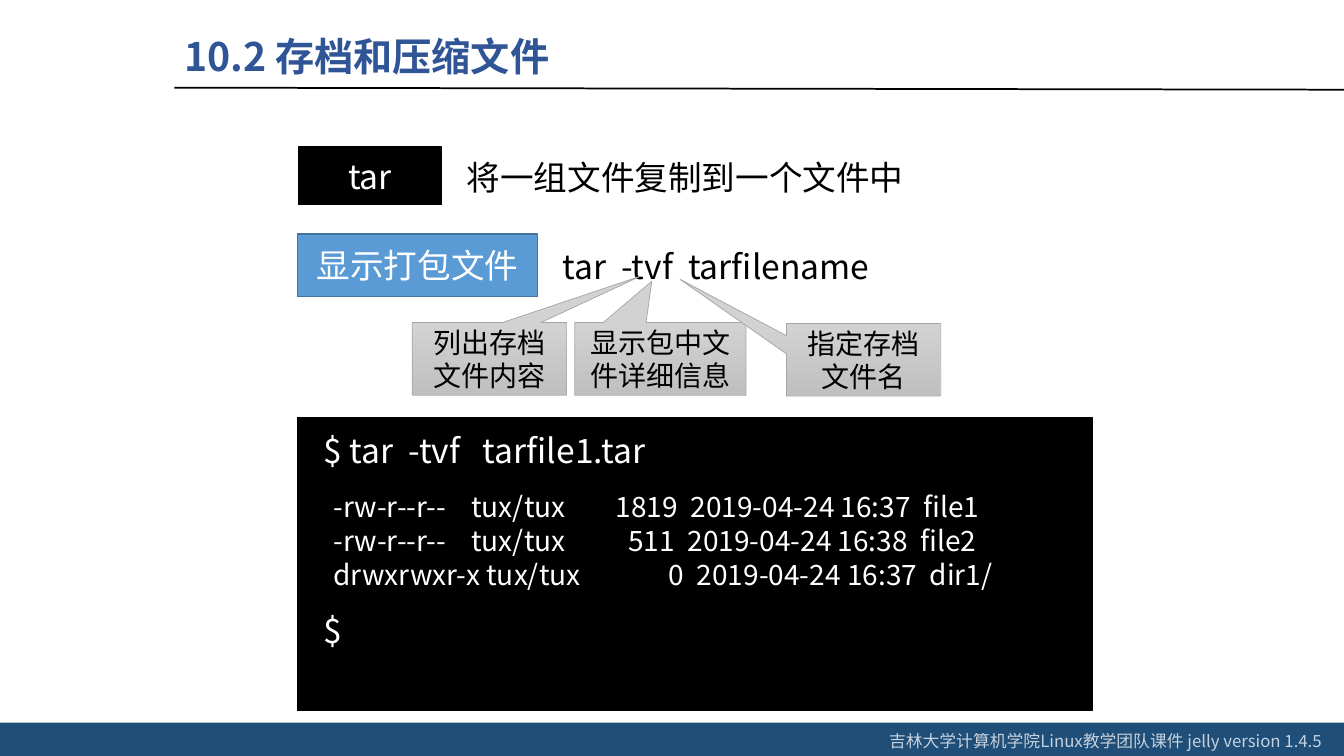
from lxml import etree
from pptx import Presentation
from pptx.dml.color import RGBColor
from pptx.enum.shapes import MSO_CONNECTOR, MSO_SHAPE
from pptx.enum.text import MSO_ANCHOR, MSO_AUTO_SIZE, PP_ALIGN
from pptx.oxml.ns import qn
from pptx.util import Inches, Pt

RECTANGLE = MSO_SHAPE.RECTANGLE
CALLOUT = MSO_SHAPE.RECTANGULAR_CALLOUT
STRAIGHT = MSO_CONNECTOR.STRAIGHT
MIDDLE = MSO_ANCHOR.MIDDLE
GROW = MSO_AUTO_SIZE.SHAPE_TO_FIT_TEXT
LEFT = PP_ALIGN.LEFT
CENTER = PP_ALIGN.CENTER

FONT = "Noto Sans CJK SC"
LINE_HEIGHT = 1.2
BLACK = RGBColor(0x00, 0x00, 0x00)
WHITE = RGBColor(0xFF, 0xFF, 0xFF)
NAVY = RGBColor(0x1F, 0x4E, 0x79)
TITLE_BLUE = RGBColor(0x2F, 0x55, 0x97)
LABEL_BLUE = RGBColor(0x5B, 0x9B, 0xD5)
LABEL_BORDER = RGBColor(0x43, 0x73, 0x9E)
GREY_TOP = RGBColor(0xD2, 0xD2, 0xD2)
GREY_BOTTOM = RGBColor(0xC0, 0xC0, 0xC0)
GREY_BORDER = RGBColor(0xA5, 0xA5, 0xA5)

CALLOUTS = [
    ("列出存档文件内容", 4.09, 3.2, 1.53, (0.98, -1.14)),
    ("显示包中文件详细信息", 5.7, 3.2, 1.7, (-0.05, -1.07)),
    ("指定存档文件名", 7.8, 3.21, 1.53, (-1.19, -1.11)),
]
LISTING = """-rw-r--r--    tux/tux        1819  2019-04-24 16:37  file1
-rw-r--r--    tux/tux          511  2019-04-24 16:38  file2
drwxrwxr-x tux/tux              0  2019-04-24 16:37  dir1/"""


def write_text(frame, text, size=24, color=BLACK, bold=False, align=LEFT, opacity=100):
    for index, line in enumerate(text.split("\n")):
        paragraph = frame.paragraphs[0] if index == 0 else frame.add_paragraph()
        paragraph.alignment = align
        paragraph.line_spacing = Pt(size * LINE_HEIGHT)
        run = paragraph.add_run()
        run.text = line
        run.font.name = FONT
        run.font.size = Pt(size)
        run.font.bold = bold
        run.font.color.rgb = color
        properties = run.font._element
        east_asian = etree.Element(qn("a:ea"), typeface=FONT)
        properties.find(qn("a:latin")).addnext(east_asian)
        if opacity < 100:
            color_element = properties.find(".//" + qn("a:srgbClr"))
            etree.SubElement(color_element, qn("a:alpha"), val=str(opacity * 1000))


def add_text(slide, text, left, top, width, height, wrap=True, **text_format):
    box = slide.shapes.add_textbox(Inches(left), Inches(top), Inches(width), Inches(height))
    box.text_frame.word_wrap = wrap
    box.text_frame.auto_size = GROW
    write_text(box.text_frame, text, **text_format)


def add_box(slide, left, top, width, height, fill=None, border=None, border_width=1,
            kind=RECTANGLE, text="", **text_format):
    shape = slide.shapes.add_shape(
        kind, Inches(left), Inches(top), Inches(width), Inches(height))
    shape.shadow.inherit = False
    if fill is not None:
        shape.fill.solid()
        shape.fill.fore_color.rgb = fill
    if border is None:
        shape.line.fill.background()
    else:
        shape.line.color.rgb = border
        shape.line.width = Pt(border_width)
    if text:
        shape.text_frame.word_wrap = True
        shape.text_frame.vertical_anchor = MIDDLE
        write_text(shape.text_frame, text, align=CENTER, **text_format)
    return shape


def add_callout(slide, text, left, top, width, tip):
    shape = add_box(slide, left, top, width, 0.72, border=GREY_BORDER, border_width=0.5,
                    kind=CALLOUT, text=text, size=20)
    shape.adjustments[0], shape.adjustments[1] = tip
    shape.fill.gradient()
    shape.fill.gradient_angle = 270
    for stop, color in zip(shape.fill.gradient_stops, (GREY_TOP, GREY_BOTTOM)):
        stop.color.rgb = color


def add_rule(slide, start_x, start_y, end_x, end_y):
    rule = slide.shapes.add_connector(
        STRAIGHT, Inches(start_x), Inches(start_y), Inches(end_x), Inches(end_y))
    rule.line.color.rgb = BLACK
    rule.line.width = Pt(1.25)
    etree.SubElement(rule._element.spPr, qn("a:effectLst"))


def main():
    presentation = Presentation()
    presentation.slide_width = Inches(13.33)
    presentation.slide_height = Inches(7.5)
    slide = presentation.slides.add_slide(presentation.slide_layouts[6])

    add_box(slide, 0, 7.17, 13.33, 0.36, fill=NAVY)
    add_rule(slide, 1.73, 0.87, 13.33, 0.89)
    add_text(slide, "吉林大学计算机学院Linux教学团队课件 jelly version 1.4.5",
             8.72, 7.2, 4.53, 0.3, wrap=False, size=12, color=WHITE, opacity=75)
    add_text(slide, "10.2 存档和压缩文件", 1.73, 0.27, 6.72, 0.57,
             size=28, color=TITLE_BLUE, bold=True)

    add_box(slide, 2.96, 1.46, 1.42, 0.57, fill=BLACK, border=BLACK, text="tar", color=WHITE)
    add_text(slide, "将一组文件复制到一个文件中", 4.53, 1.51, 6, 0.5)
    add_box(slide, 2.95, 2.32, 2.38, 0.62, fill=LABEL_BLUE, border=LABEL_BORDER,
            text="显示打包文件", color=WHITE)
    add_text(slide, "tar  -tvf  tarfilename", 5.48, 2.39, 5.35, 0.5)

    for callout in CALLOUTS:
        add_callout(slide, *callout)

    add_box(slide, 2.95, 4.14, 7.88, 2.91, fill=BLACK, border=BLACK)
    add_text(slide, "$ tar  -tvf   tarfile1.tar", 3.11, 4.22, 7.08, 0.5, color=WHITE)
    add_text(slide, LISTING, 3.21, 4.81, 7.46, 1.11, size=20, color=WHITE)
    add_text(slide, "$", 3.11, 6, 0.4, 0.5, wrap=False, color=WHITE)

    presentation.save("out.pptx")


if __name__ == "__main__":
    main()
